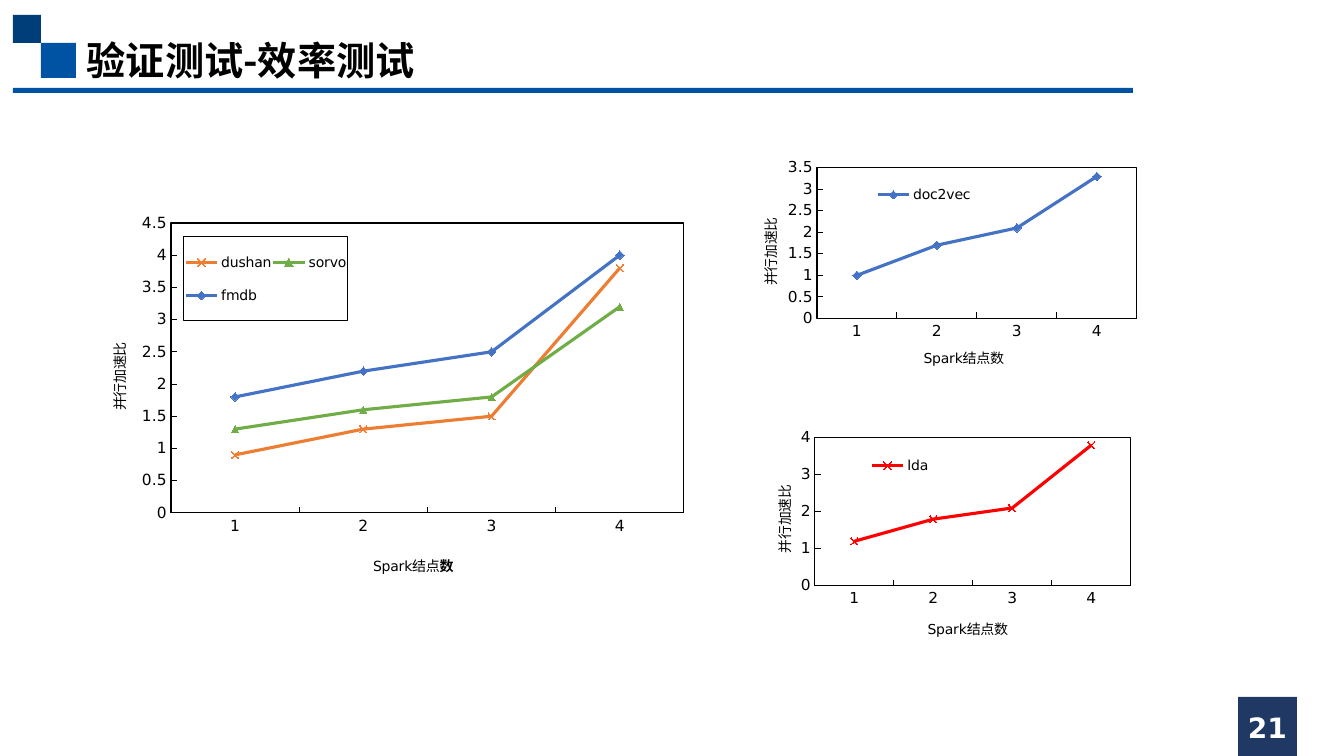
import pptx
import pptx.chart.data
import pptx.dml.color
import pptx.enum.chart
import pptx.enum.shapes
import pptx.enum.text
import pptx.oxml
import pptx.oxml.ns
import pptx.util
from lxml import etree

SCALE = 914400 / 100.8
COLORS = {
    "black": "000000", "white": "FFFFFF", "blue": "0053A3", "deep": "003E7A",
    "navy": "203864", "orange": "ED7D31", "green": "70AD47", "sky": "4472C4", "red": "FF0000",
}
LATIN = "DejaVu Sans"
CJK = "Noto Sans CJK SC"
NODES = ["1", "2", "3", "4"]
TICK_FONT = {"size": pptx.util.Pt(11), "bold": False, "name": LATIN}
LABEL_FONT = {**TICK_FONT, "size": pptx.util.Pt(10)}
MARKERS = {"x": 5, "triangle": 5, "diamond": 6}
qn = pptx.oxml.ns.qn


def px(length):
    """Turn pixels into EMU."""
    return pptx.util.Emu(round(length * SCALE))


def rgb(color):
    """Look up a named colour."""
    return pptx.dml.color.RGBColor.from_string(COLORS[color])


def apply(target, values):
    """Set every attribute named in a dict of format values."""
    for name, value in values.items():
        setattr(target, name, value)


def style_font(font, values, color="black"):
    """Format a font and colour it."""
    apply(font, values)
    font.color.rgb = rgb(color)


def add_block(slide, box, color):
    """Add a plain filled rectangle."""
    shape = slide.shapes.add_shape(pptx.enum.shapes.MSO_SHAPE.RECTANGLE, *map(px, box))
    shape.shadow.inherit = False
    shape.fill.solid()
    shape.fill.fore_color.rgb = rgb(color)
    shape.line.fill.background()


def add_label(slide, box, text, font, color, frame_values, alignment):
    """Add a one-line bold text box."""
    frame = slide.shapes.add_textbox(*map(px, box)).text_frame
    apply(frame, {"word_wrap": True, **frame_values})
    paragraph = frame.paragraphs[0]
    paragraph.alignment = alignment
    run = paragraph.add_run()
    run.text = text
    style_font(run.font, {"bold": True, **font}, color)
    east_asian = etree.SubElement(run.font._element, qn("a:ea"))
    east_asian.set("typeface", CJK)


def add_header(slide, box, text):
    """Draw the two squares, the heading and the rule below it."""
    left, top, width, height = box
    add_block(slide, (left + 28, top + 28, 35, 35), "blue")
    add_block(slide, (left, top, 28, 28), "deep")
    add_block(slide, (left, top + height - 5, width, 5), "blue")
    add_label(slide, (left + 64, top + 16, 596, 57), text,
              {"size": pptx.util.Pt(28), "name": CJK}, "black",
              {"vertical_anchor": pptx.enum.text.MSO_ANCHOR.TOP}, pptx.enum.text.PP_ALIGN.LEFT)


def add_page_number(slide, box, number):
    """Draw the page number on its square."""
    left, top, width, height = box
    add_block(slide, box, "navy")
    add_label(slide, (left - 47, top + 10, width + 94, 40), number,
              {"size": pptx.util.Pt(20), "name": LATIN}, "white",
              {"vertical_anchor": pptx.enum.text.MSO_ANCHOR.MIDDLE},
              pptx.enum.text.PP_ALIGN.CENTER)


def set_layout(element, index, box, part, inner=False):
    """Fix a chart part at a pixel position inside the chart box."""
    for old in element.findall(qn("c:layout")):
        element.remove(old)
    layout = etree.Element(qn("c:layout"))
    element.insert(index, layout)
    manual = etree.SubElement(layout, qn("c:manualLayout"))
    values = [("layoutTarget", "inner")] if inner else []
    values += [("xMode", "edge"), ("yMode", "edge")]
    sizes = (box[2], box[3]) * 2
    values += [(key, str(round(length / size, 4)))
               for key, length, size in zip("xywh", part, sizes)]
    for key, value in values:
        etree.SubElement(manual, qn("c:" + key)).set("val", value)


def outline():
    """Return shape properties for an unfilled black frame."""
    return pptx.oxml.parse_xml(
        f'<c:spPr {pptx.oxml.ns.nsdecls("c", "a")}><a:noFill/><a:ln w="9525"><a:solidFill>'
        f'<a:srgbClr val="{COLORS["black"]}"/></a:solidFill></a:ln></c:spPr>')


def style_axis(axis, box, runs, position):
    """Format an axis and place its title, given as (text, bold) runs."""
    apply(axis, {"has_major_gridlines": False,
                 "major_tick_mark": pptx.enum.chart.XL_TICK_MARK.INSIDE,
                 "minor_tick_mark": pptx.enum.chart.XL_TICK_MARK.NONE})
    style_font(axis.tick_labels.font, TICK_FONT)
    axis.format.line.color.rgb = rgb("black")
    axis.format.line.width = pptx.util.Pt(0.75)
    paragraph = axis.axis_title.text_frame.paragraphs[0]
    for text, bold in runs:
        run = paragraph.add_run()
        run.text = text
        style_font(run.font, {**LABEL_FONT, "bold": bold})
    set_layout(axis.axis_title._element, 1, box, position)


def add_speedup_chart(slide, box, series, scale, parts, node_runs, framed_legend=False):
    """Draw a speed-up line chart; parts are pixel places inside the box."""
    data = pptx.chart.data.CategoryChartData()
    data.categories = NODES
    for name, values, _, _ in series:
        data.add_series(name, values)
    chart = slide.shapes.add_chart(
        pptx.enum.chart.XL_CHART_TYPE.LINE_MARKERS, *map(px, box), data).chart
    apply(chart, {"has_title": False, "has_legend": True})
    style_font(chart.font, TICK_FONT)
    chart.plots[0].vary_by_categories = False

    for line, (_, _, color, marker) in zip(chart.plots[0].series, series):
        line.smooth = False
        line.format.line.color.rgb = rgb(color)
        line.format.line.width = pptx.util.Pt(2.25)
        apply(line.marker, {"style": pptx.enum.chart.XL_MARKER_STYLE[marker.upper()],
                            "size": MARKERS[marker]})
        line.marker.format.line.color.rgb = rgb(color)
        if marker == "x":
            line.marker.format.fill.background()
        else:
            line.marker.format.fill.solid()
            line.marker.format.fill.fore_color.rgb = rgb(color)

    style_axis(chart.category_axis, box, node_runs, parts["nodes"])
    value_axis = chart.value_axis
    apply(value_axis, dict(zip(("minimum_scale", "maximum_scale", "major_unit"), scale)))
    value_axis.tick_labels.number_format = "General"
    value_axis.tick_labels.number_format_is_linked = False
    style_axis(value_axis, box, [("并行加速比", False)], parts["speedup"])
    apply_rotation = value_axis.axis_title._element.find(".//" + qn("a:bodyPr"))
    apply_rotation.set("rot", "-5400000")
    apply_rotation.set("vert", "horz")
    axis_element = value_axis._element
    for old in axis_element.findall(qn("c:crossBetween")):
        axis_element.remove(old)
    between = etree.Element(qn("c:crossBetween"))
    between.set("val", "between")
    axis_element.find(qn("c:crosses")).addnext(between)

    legend = chart.legend
    apply(legend, {"position": pptx.enum.chart.XL_LEGEND_POSITION.BOTTOM,
                   "include_in_layout": False})
    style_font(legend.font, LABEL_FONT)
    set_layout(legend._element, 1, box, parts["legend"])
    if framed_legend:
        legend._element.find(qn("c:overlay")).addnext(outline())
    plot_area = chart._chartSpace.find(".//" + qn("c:plotArea"))
    set_layout(plot_area, 0, box, parts["plot"], inner=True)
    plot_area.append(outline())


def main():
    """Build the slide and save it."""
    presentation = pptx.Presentation()
    presentation.slide_width, presentation.slide_height = px(1344), px(756)
    slide = presentation.slides.add_slide(presentation.slide_layouts[6])
    add_header(slide, (13, 15, 1120, 78), "验证测试-效率测试")
    add_page_number(slide, (1238, 697, 59, 59), "21")
    add_speedup_chart(
        slide, (77, 202, 626, 399),
        [("dushan", (0.9, 1.3, 1.5, 3.8), "orange", "x"),
         ("sorvo", (1.3, 1.6, 1.8, 3.2), "green", "triangle"),
         ("fmdb", (1.8, 2.2, 2.5, 4), "sky", "diamond")],
        (0, 4.5, 0.5),
        {"plot": (94, 21, 513, 290), "nodes": (293, 349), "speedup": (29, 138),
         "legend": (107, 35, 164, 84)},
        [("Spark结点", False), ("数", True)], framed_legend=True)
    node_runs = [("Spark结点数", False)]
    add_speedup_chart(
        slide, (747, 157, 413, 215), [("doc2vec", (1, 1.7, 2.1, 3.3), "sky", "diamond")],
        (0, 3.5, 0.5),
        {"plot": (70, 11, 320, 153), "nodes": (174, 190), "speedup": (10, 60),
         "legend": (115, 24, 124, 29)}, node_runs)
    add_speedup_chart(
        slide, (745, 428, 389, 215), [("lda", (1.2, 1.8, 2.1, 3.8), "red", "x")],
        (0, 4, 1),
        {"plot": (70, 10, 316, 151), "nodes": (180, 191), "speedup": (26, 57),
         "legend": (105, 24, 100, 29)}, node_runs)
    presentation.save("out.pptx")


main()
